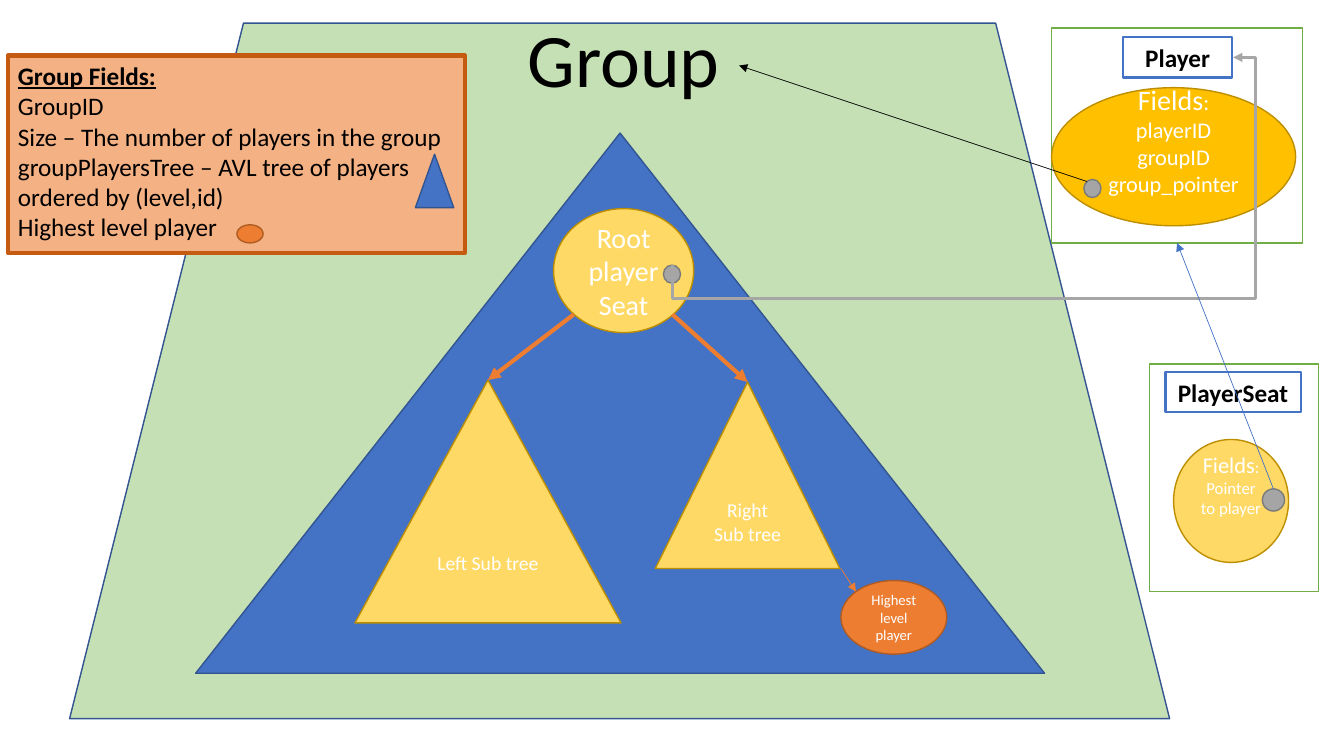
from lxml import etree
from pptx import Presentation
from pptx import util as u
from pptx.dml.color import RGBColor
from pptx.enum import shapes, text
from pptx.oxml.ns import qn

BLACK = RGBColor(0x00, 0x00, 0x00)
WHITE = RGBColor(0xFF, 0xFF, 0xFF)
MINT = RGBColor(0xC5, 0xE0, 0xB4)
GREEN = RGBColor(0x70, 0xAD, 0x47)
BLUE = RGBColor(0x44, 0x72, 0xC4)
NAVY = RGBColor(0x32, 0x54, 0x91)
YELLOW = RGBColor(0xFF, 0xD9, 0x66)
GOLD = RGBColor(0xFF, 0xC0, 0x00)
OCHRE = RGBColor(0xBD, 0x8E, 0x00)
PEACH = RGBColor(0xF4, 0xB1, 0x83)
RUST = RGBColor(0xC5, 0x5A, 0x11)
ORANGE = RGBColor(0xED, 0x7D, 0x31)
BROWN = RGBColor(0xAF, 0x5C, 0x24)
GREY = RGBColor(0xA5, 0xA5, 0xA5)
DARK_GREY = RGBColor(0x7A, 0x7A, 0x7A)
LINK_GREY = RGBColor(0xA6, 0xA6, 0xA6)

RECTANGLE = shapes.MSO_SHAPE.RECTANGLE
ELLIPSE = shapes.MSO_SHAPE.OVAL
TRIANGLE = shapes.MSO_SHAPE.ISOSCELES_TRIANGLE
TRAPEZOID = shapes.MSO_SHAPE.TRAPEZOID
CENTER = text.PP_ALIGN.CENTER
LEFT = text.PP_ALIGN.LEFT
TOP = text.MSO_ANCHOR.TOP


class Diagram:
    font = "Calibri"

    def __init__(self, deck):
        self.page = deck.slides.add_slide(deck.slide_layouts[5])

    def style(self, span, size, color, bold=False):
        span.font.name = self.font
        span.font.size = u.Pt(size)
        span.font.bold = bold
        span.font.color.rgb = color

    def title(self, words, place, size):
        box = self.page.shapes.title
        box.left, box.top, box.width, box.height = map(u.Inches, place)
        box.element.getparent().append(box.element)
        self.label(box, [words], size, BLACK, anchor=TOP)
        box.text_frame.word_wrap = False

    def shape(self, kind, place, fill, line, weight=1):
        box = self.page.shapes.add_shape(kind, *map(u.Inches, place))
        box.shadow.inherit = False
        if fill is None:
            box.fill.background()
        else:
            box.fill.solid()
            box.fill.fore_color.rgb = fill
        box.line.color.rgb = line
        box.line.width = u.Pt(weight)
        return box

    def label(self, box, lines, size, color=WHITE, bold=False, align=CENTER,
              anchor=text.MSO_ANCHOR.MIDDLE):
        frame = box.text_frame
        frame.text = "\n".join(lines)
        frame.word_wrap = True
        frame.auto_size = text.MSO_AUTO_SIZE.NONE
        frame.vertical_anchor = anchor
        for para in frame.paragraphs:
            para.alignment = align
            for span in para.runs:
                self.style(span, size, color, bold)

    def name_tag(self, name, place):
        tag = self.shape(RECTANGLE, place, None, BLUE, 1.5)
        self.label(tag, [name], 18, BLACK, bold=True, anchor=TOP)

    def fields(self, place, fill, lines, head_size, size):
        bubble = self.shape(ELLIPSE, place, fill, OCHRE)
        self.label(bubble, ["Fields"] + lines, size)
        bubble.text_frame.margin_bottom = u.Inches(0.38)
        head = bubble.text_frame.paragraphs[0]
        self.style(head.runs[0], head_size, WHITE)
        colon = head.add_run()
        colon.text = ":"
        self.style(colon, size, WHITE)

    def pointer(self, place):
        return self.shape(ELLIPSE, place, GREY, DARK_GREY)

    def arrow(self, start, end, color, weight, kind=shapes.MSO_CONNECTOR.STRAIGHT):
        link = self.page.shapes.add_connector(kind, *map(u.Inches, start + end))
        link.line.color.rgb = color
        link.line.width = u.Pt(weight)
        properties = link.element.spPr
        etree.SubElement(properties.find(qn("a:ln")), qn("a:tailEnd"), type="triangle")
        etree.SubElement(properties, qn("a:effectLst"))
        return link

    def bent_arrow(self, start, end, color, weight, bends):
        rise, run = start[1] - end[1], end[0] - start[0]
        middle_x, middle_y = (start[0] + end[0]) / 2, (start[1] + end[1]) / 2
        link = self.arrow((middle_x - rise / 2, middle_y - run / 2),
                          (middle_x + rise / 2, middle_y + run / 2),
                          color, weight, shapes.MSO_CONNECTOR.ELBOW)
        properties = link.element.spPr
        frame = properties.find(qn("a:xfrm"))
        for key, value in (("rot", "5400000"), ("flipH", "1"), ("flipV", "1")):
            frame.set(key, value)
        geometry = properties.find(qn("a:prstGeom"))
        geometry.set("prst", "bentConnector4")
        guides = geometry.find(qn("a:avLst"))
        for number, bend in enumerate(bends, 1):
            etree.SubElement(guides, qn("a:gd"), name=f"adj{number}",
                             fmla=f"val {round(bend * 100000)}")


def main():
    deck = Presentation()
    deck.slide_width, deck.slide_height = u.Inches(13.33), u.Inches(7.5)
    diagram = Diagram(deck)

    diagram.shape(TRAPEZOID, (0.69, 0.23, 10.91, 6.9), MINT, NAVY)
    diagram.shape(RECTANGLE, (11.4, 3.61, 1.68, 2.26), WHITE, GREEN)
    diagram.shape(TRIANGLE, (1.94, 1.32, 8.42, 5.36), BLUE, NAVY)
    diagram.title("Group", (5.12, 0.07, 2.13, 1.01), 54)

    root = diagram.shape(ELLIPSE, (5.49, 2.07, 1.39, 1.23), YELLOW, OCHRE)
    diagram.label(root, ["Root playerSeat"], 20)

    legend = diagram.shape(RECTANGLE, (0.08, 0.55, 4.53, 1.96), PEACH, RUST, 3)
    diagram.label(legend, [
        "Group Fields:\vGroupID",
        "Size – The number of players in the group",
        "groupPlayersTree – AVL tree of players ordered by (level,id)",
        "Highest level player",
    ], 18, BLACK, align=LEFT, anchor=TOP)
    heading = legend.text_frame.paragraphs[0].runs[0]
    heading.font.bold = heading.font.underline = True

    for name, place, start in (
        ("Left Sub tree", (3.52, 3.77, 2.64, 2.41), (5.69, 3.12)),
        ("Right\vSub tree", (6.5, 3.79, 1.83, 1.85), (6.67, 3.12)),
    ):
        subtree = diagram.shape(TRIANGLE, place, YELLOW, OCHRE)
        diagram.label(subtree, [name], 14)
        branch = diagram.arrow(start, (place[0] + place[2] / 2, place[1]), ORANGE, 3)
        branch.end_connect(subtree, 0)

    diagram.arrow((8.34, 5.64), (8.49, 5.87), ORANGE, 0.5)
    highest = diagram.shape(ELLIPSE, (8.34, 5.76, 1.05, 0.73), ORANGE, BROWN)
    diagram.label(highest, ["Highest level player"], 10.5)

    player = diagram.shape(RECTANGLE, (10.43, 0.28, 2.49, 2.13), WHITE, GREEN)
    diagram.name_tag("Player", (11.14, 0.37, 1.08, 0.4))
    diagram.fields((10.43, 0.87, 2.42, 1.37), GOLD,
                   ["playerID", "groupID", "group_pointer"], 20, 16)
    diagram.pointer((10.75, 1.78, 0.17, 0.18))
    diagram.arrow((10.78, 1.8), (7.33, 0.65), BLACK, 0.5)

    diagram.shape(TRIANGLE, (4.12, 1.53, 0.38, 0.53), BLUE, NAVY)
    diagram.shape(ELLIPSE, (2.35, 2.23, 0.26, 0.18), ORANGE, BROWN)

    diagram.pointer((6.58, 2.63, 0.17, 0.18))
    diagram.bent_arrow((6.67, 2.63), (12.23, 0.57), LINK_GREY, 2.25, (-0.16, 1.04))

    diagram.name_tag("PlayerSeat", (11.56, 3.69, 1.34, 0.4))
    diagram.fields((11.64, 4.36, 1.14, 1.22), YELLOW, ["Pointer to player"], 16, 12)
    seat_pointer = diagram.pointer((12.52, 4.85, 0.22, 0.22))
    seat_link = diagram.arrow((12.63, 4.85), (11.67, 2.41), BLUE, 0.5)
    seat_link.begin_connect(seat_pointer, 0)
    seat_link.end_connect(player, 2)

    deck.save("out.pptx")


if __name__ == "__main__":
    main()
